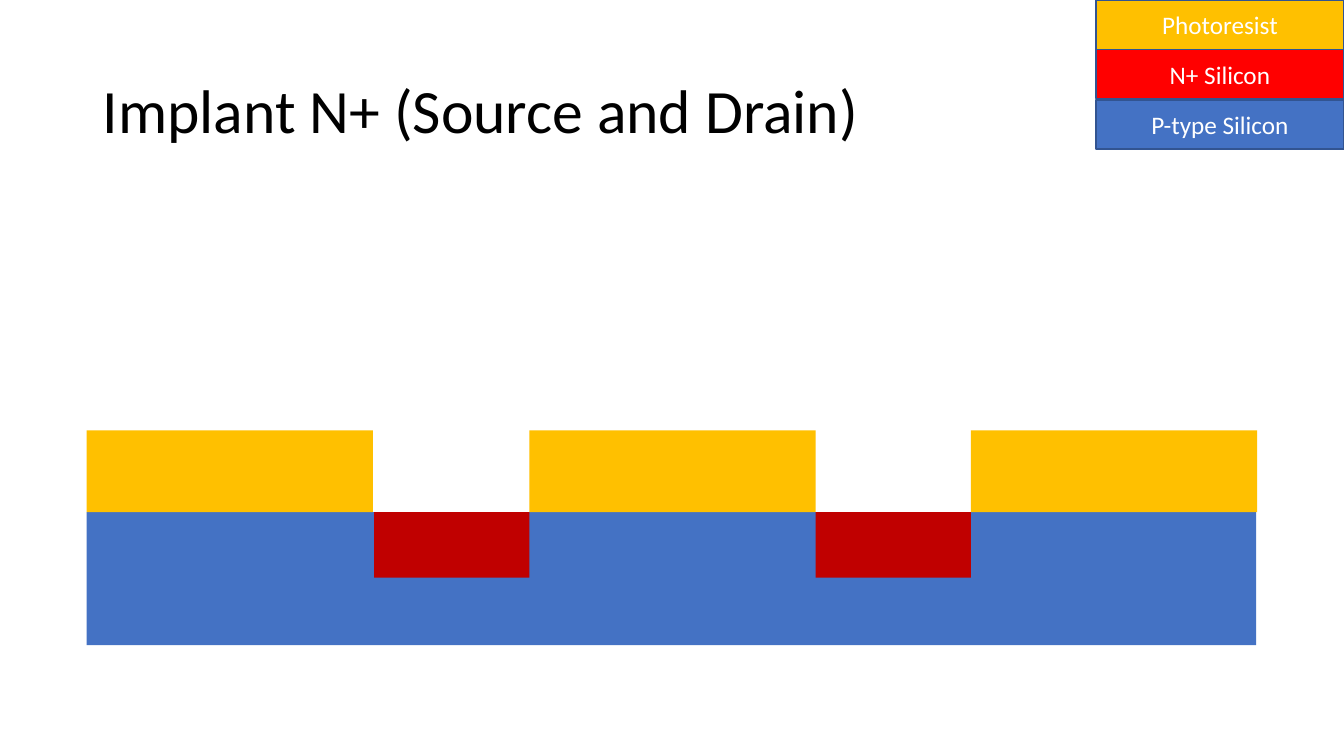
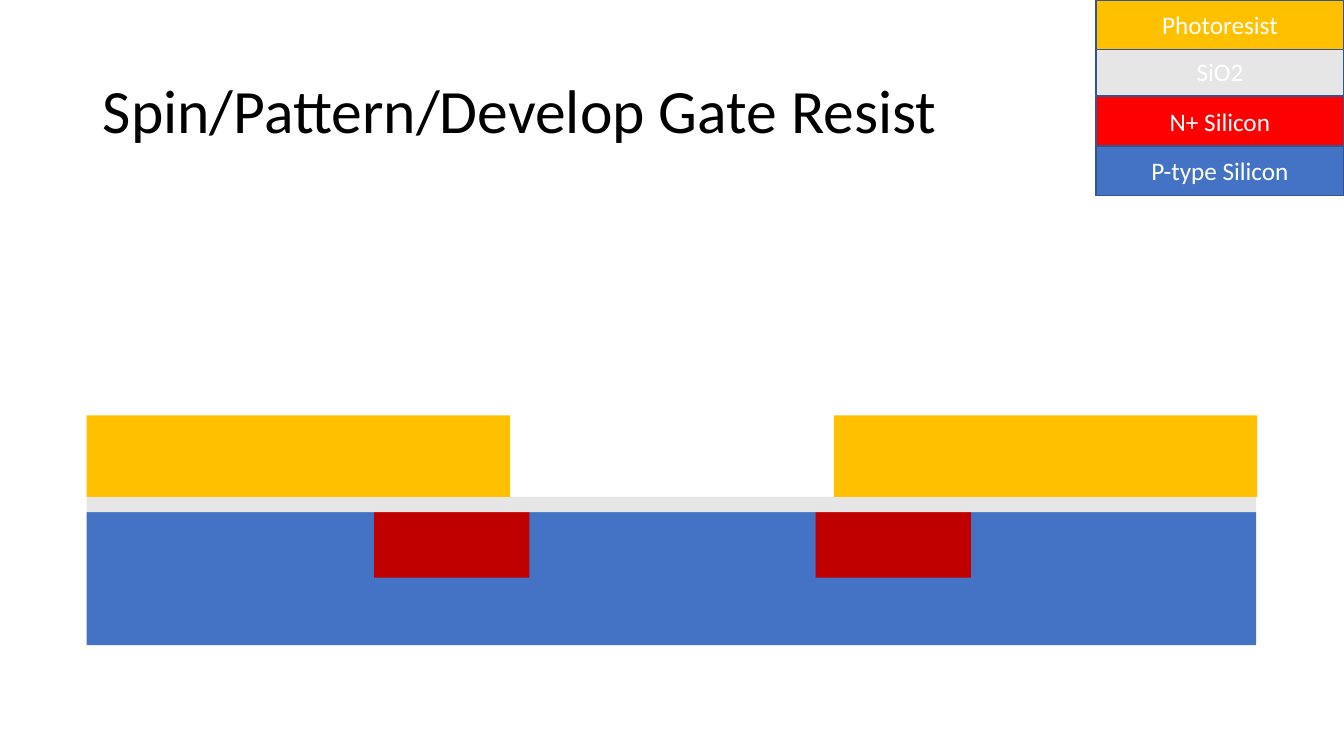
from dataclasses import dataclass

from pptx import Presentation
from pptx.dml.color import RGBColor
from pptx.enum.shapes import MSO_SHAPE
from pptx.enum.text import MSO_ANCHOR, MSO_AUTO_SIZE, PP_ALIGN
from pptx.util import Inches, Pt


@dataclass(frozen=True)
class Theme:
    font: str = "Calibri"
    title_size: int = 44
    key_size: int = 18
    text: str = "000000"
    key_text: str = "FFFFFF"
    key_line: str = "325491"
    silicon: str = "4472C4"
    resist: str = "FFC000"
    oxide: str = "E7E6E6"
    implant: str = "C00000"
    key_implant: str = "FF0000"


THEME = Theme()

# Wafer cross-section, in inches
WAFER_LEFT, WAFER_WIDTH = 0.86, 11.6
SURFACE, WAFER_HEIGHT = 5.08, 1.32
RESIST_HEIGHT, OXIDE_HEIGHT = 0.81, 0.15
WELL_LEFTS, WELL_WIDTH, WELL_HEIGHT = (3.71, 8.09), 1.54, 0.65

# Material key in the top right corner
KEY_LEFT, KEY_WIDTH, KEY_HEIGHT = 10.87, 2.46, 0.49


def color(value):
    return RGBColor.from_string(value)


class Deck:
    def __init__(self, theme):
        self.theme = theme
        self.prs = Presentation()
        self.prs.slide_width = Inches(13.33)
        self.prs.slide_height = Inches(7.5)
        self.s = None

    def add_slide(self, title):
        self.s = self.prs.slides.add_slide(self.prs.slide_layouts[5])
        sp = self.s.shapes.title
        sp.left, sp.top = Inches(0.92), Inches(0.4)
        sp.width, sp.height = Inches(11.5), Inches(1.45)
        tf = sp.text_frame
        tf.auto_size = MSO_AUTO_SIZE.NONE
        self.add_text(sp, title, self.theme.title_size, self.theme.text, PP_ALIGN.LEFT)
        tf.paragraphs[0].line_spacing = 0.9

    def add_text(self, sp, text, size, text_color, align):
        tf = sp.text_frame
        tf.word_wrap = True
        tf.vertical_anchor = MSO_ANCHOR.MIDDLE
        p = tf.paragraphs[0]
        p.alignment = align
        r = p.add_run()
        r.text = text
        r.font.name = self.theme.font
        r.font.size = Pt(size)
        r.font.color.rgb = color(text_color)

    def block(self, left, top, width, height, fill, line=None):
        sp = self.s.shapes.add_shape(
            MSO_SHAPE.RECTANGLE, Inches(left), Inches(top), Inches(width), Inches(height))
        sp.shadow.inherit = False
        sp.fill.solid()
        sp.fill.fore_color.rgb = color(fill)
        if line:
            sp.line.color.rgb = color(line)
            sp.line.width = Pt(1)
        else:
            sp.line.fill.background()
        return sp

    def wafer(self):
        self.block(WAFER_LEFT, SURFACE, WAFER_WIDTH, WAFER_HEIGHT, self.theme.silicon)

    def wells(self):
        for left in WELL_LEFTS:
            self.block(left, SURFACE, WELL_WIDTH, WELL_HEIGHT, self.theme.implant)

    def oxide(self):
        self.block(WAFER_LEFT, SURFACE - OXIDE_HEIGHT, WAFER_WIDTH, OXIDE_HEIGHT,
                   self.theme.oxide)

    def resist(self, lefts, width, base):
        """Lay strips of photoresist on the surface at height base."""
        for left in lefts:
            self.block(left, base - RESIST_HEIGHT, width, RESIST_HEIGHT, self.theme.resist)

    def key(self, entries):
        """Draw the material key from (top, label, fill) entries, back to front."""
        for top, label, fill in entries:
            sp = self.block(KEY_LEFT, top, KEY_WIDTH, KEY_HEIGHT, fill, self.theme.key_line)
            self.add_text(sp, label, self.theme.key_size, self.theme.key_text, PP_ALIGN.CENTER)


def main():
    deck = Deck(THEME)

    deck.add_slide("Implant N+ (Source and Drain)")
    deck.wafer()
    deck.resist((0.86, 5.25, 9.63), 2.84, SURFACE)
    deck.wells()
    deck.key([
        (0.99, "P-type Silicon", THEME.silicon),
        (0, "Photoresist", THEME.resist),
        (0.49, "N+ Silicon", THEME.key_implant),
    ])

    deck.add_slide("Spin/Pattern/Develop Gate Resist")
    deck.wafer()
    deck.wells()
    deck.oxide()
    deck.resist((0.86, 8.27), 4.2, SURFACE - OXIDE_HEIGHT)
    deck.key([
        (1.45, "P-type Silicon", THEME.silicon),
        (0.96, "N+ Silicon", THEME.key_implant),
        (0.46, "SiO2", THEME.oxide),
        (0, "Photoresist", THEME.resist),
    ])

    deck.prs.save("out.pptx")


if __name__ == "__main__":
    main()
